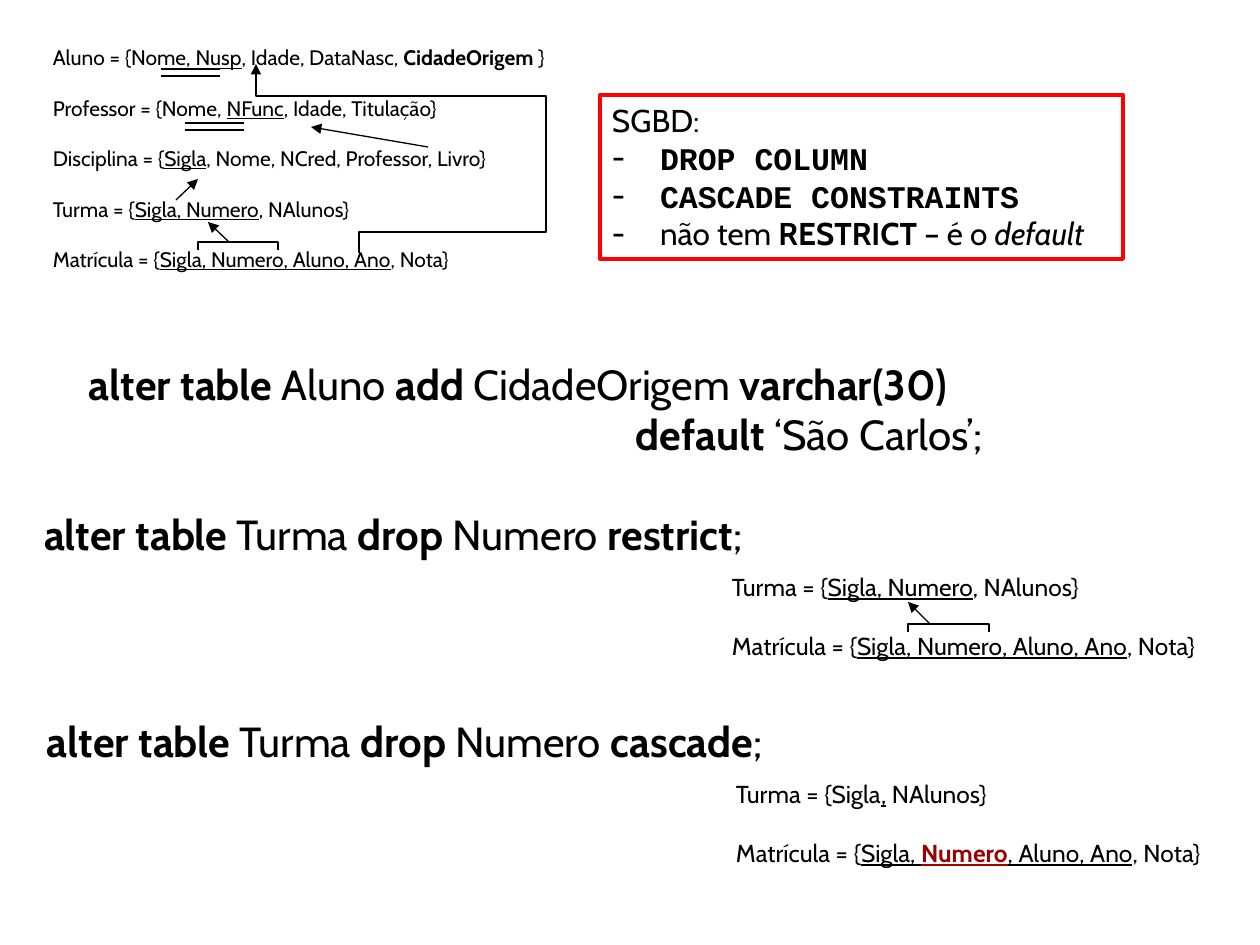
from lxml import etree
from pptx import Presentation
from pptx import util as u
from pptx.dml.color import RGBColor
from pptx.enum import shapes, text
from pptx.oxml.ns import qn

PX = 914400 // 126
BLACK, RED, DARK_RED = "000000", "FF0000", "990000"

# A run is (text, style): b bold, i italic, u underlined, m monospaced, r dark red
SCHEMA = [
    [("Aluno = {Nome, ", ""), ("Nusp", "u"), (", Idade, DataNasc, ", ""),
     ("CidadeOrigem", "b"), (" }", "")],
    [("Professor = {Nome, ", ""), ("NFunc", "u"), (", Idade, Titulação}", "")],
    [("Disciplina = {", ""), ("Sigla", "u"), (", Nome, NCred, Professor, Livro}", "")],
    [("Turma = {", ""), ("Sigla, Numero", "u"), (", NAlunos}", "")],
    [("Matrícula = {", ""), ("Sigla, Numero, Aluno, Ano", "u"), (", Nota}", "")],
]
AFTER_CASCADE = [
    [("Turma = {Sigla", ""), (",", "u"), (" NAlunos}", "")],
    [("Matrícula = {", ""), ("Sigla, ", "u"), ("Numero", "bur"),
     (", Aluno, Ano", "u"), (", Nota}", "")],
]
ADD_COLUMN = [("alter table ", "b"), ("Aluno ", ""), ("add", "b"),
              (" CidadeOrigem ", ""), ("varchar(30)", "b")]
ADD_DEFAULT = [("default ", "b"), ("‘São Carlos’;", "")]
DBMS_TITLE = [("SGBD:", "")]
DBMS_NOTES = [
    [("DROP COLUMN", "bm")],
    [("CASCADE CONSTRAINTS", "bm")],
    [("não tem ", ""), ("RESTRICT ", "b"), ("– é o ", ""), ("default", "i")],
]
DROPS = [("restrict", 44, 509), ("cascade", 47, 716)]

KEY_BRACKETS = [(198, 242, 80), (908, 624, 81)]  # left, top, width
AGE_LINK = [(359, 253), (359, 232), (546, 232), (546, 96), (256, 96), (256, 64)]
ARROWS = [((229, 242), (208, 222)), ((176, 200), (198, 179)),
          ((428, 147), (311, 127)), ((930, 624), (908, 602))]
DOUBLE_LINES = [(161, 69), (185, 123)]
DOUBLE_WIDTH, DOUBLE_GAP = 59, 7


def px(n):
    return n * PX


def rgb(value):
    return RGBColor.from_string(value)


def write(p, runs, size):
    for content, style in runs:
        r = p.add_run()
        r.text = content
        f = r.font
        f.size = u.Pt(size)
        f.name = "Courier New" if "m" in style else "Cabin"
        f.bold, f.italic, f.underline = "b" in style, "i" in style, "u" in style
        f.color.rgb = rgb(DARK_RED if "r" in style else BLACK)


def fill_text(tf, lines, size, gap=0, inset=(0, 0)):
    tf.word_wrap = True
    tf.vertical_anchor = text.MSO_ANCHOR.TOP
    tf.margin_left = tf.margin_right = px(inset[0])
    tf.margin_top = tf.margin_bottom = px(inset[1])
    for i, runs in enumerate(lines):
        p = tf.add_paragraph() if i else tf.paragraphs[0]
        p.alignment = text.PP_ALIGN.LEFT
        if i and gap:
            p.space_before = u.Pt(gap)
        write(p, runs, size)
    return tf


def add_text(s, lines, x, y, w, h, size, gap=0):
    box = s.shapes.add_textbox(px(x), px(y), px(w), px(h))
    return fill_text(box.text_frame, lines, size, gap)


def style_line(shape, width, arrow=False):
    shape.line.color.rgb = rgb(BLACK)
    shape.line.width = u.Pt(width)
    if arrow:
        etree.SubElement(shape.line._get_or_add_ln(), qn("a:tailEnd"), type="triangle")


def add_line(s, start, end, arrow=False):
    c = s.shapes.add_connector(shapes.MSO_CONNECTOR.STRAIGHT,
                               *map(px, start), *map(px, end))
    style_line(c, 0.75, arrow)
    etree.SubElement(c._element.spPr, qn("a:effectLst"))


def add_polyline(s, points, width, arrow=False):
    builder = s.shapes.build_freeform(*map(px, points[0]), scale=1.0)
    builder.add_line_segments([(px(x), px(y)) for x, y in points[1:]], close=False)
    sp = builder.convert_to_shape()
    sp.fill.background()
    sp.shadow.inherit = False
    style_line(sp, width, arrow)


def add_dash(p, indent):
    pPr = p._p.get_or_add_pPr()
    pPr.set("marL", str(px(indent)))
    pPr.set("indent", str(-px(indent)))
    color = etree.SubElement(pPr, qn("a:buClr"))
    etree.SubElement(color, qn("a:srgbClr"), val=BLACK)
    etree.SubElement(pPr, qn("a:buFont"), typeface="Cabin")
    etree.SubElement(pPr, qn("a:buChar"), char="-")


def add_dbms_box(s):
    sp = s.shapes.add_shape(shapes.MSO_SHAPE.RECTANGLE, px(600), px(95), px(523), px(164))
    sp.shadow.inherit = False
    sp.fill.background()
    sp.line.color.rgb = rgb(RED)
    sp.line.width = u.Pt(2.25)
    tf = fill_text(sp.text_frame, [DBMS_TITLE] + DBMS_NOTES, 18, inset=(12, 6))
    for p in tf.paragraphs:
        p.line_spacing = u.Pt(21.6)
    for p in tf.paragraphs[1:]:
        add_dash(p, 48)


def main():
    prs = Presentation()
    prs.slide_width, prs.slide_height = px(1260), px(945)
    s = prs.slides.add_slide(prs.slide_layouts[6])

    add_text(s, SCHEMA, 53, 45, 540, 234, 12, gap=14.4)
    add_text(s, [ADD_COLUMN], 89, 359, 1000, 50, 24)
    add_text(s, [ADD_DEFAULT], 636, 409, 480, 50, 24)
    for mode, x, y in DROPS:
        runs = [("alter table", "b"), (" Turma ", ""), ("drop", "b"),
                (" Numero ", ""), (mode, "b"), (";", "")]
        add_text(s, [runs], x, y, 800, 50, 24)
    add_text(s, SCHEMA[-2:], 732, 572, 520, 90, 14, gap=16.8)
    add_text(s, AFTER_CASCADE, 736, 779, 520, 90, 14, gap=16.8)

    for x, y, w in KEY_BRACKETS:
        add_polyline(s, [(x, y + 8), (x, y), (x + w, y), (x + w, y + 8)], 1)
    add_polyline(s, AGE_LINK, 0.75, arrow=True)
    for start, end in ARROWS:
        add_line(s, start, end, arrow=True)
    for x, top in DOUBLE_LINES:
        for y in (top, top + DOUBLE_GAP):
            add_line(s, (x, y), (x + DOUBLE_WIDTH, y))
    add_dbms_box(s)
    prs.save("out.pptx")


if __name__ == "__main__":
    main()
